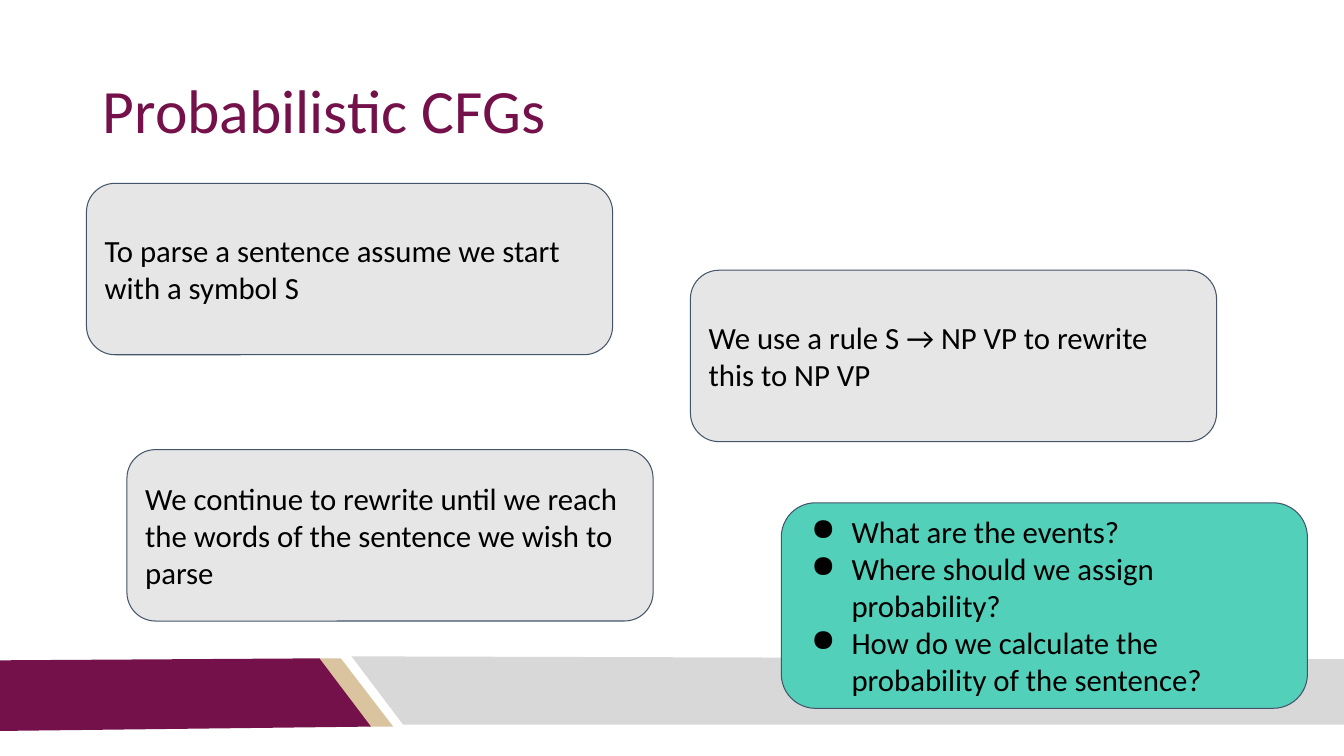
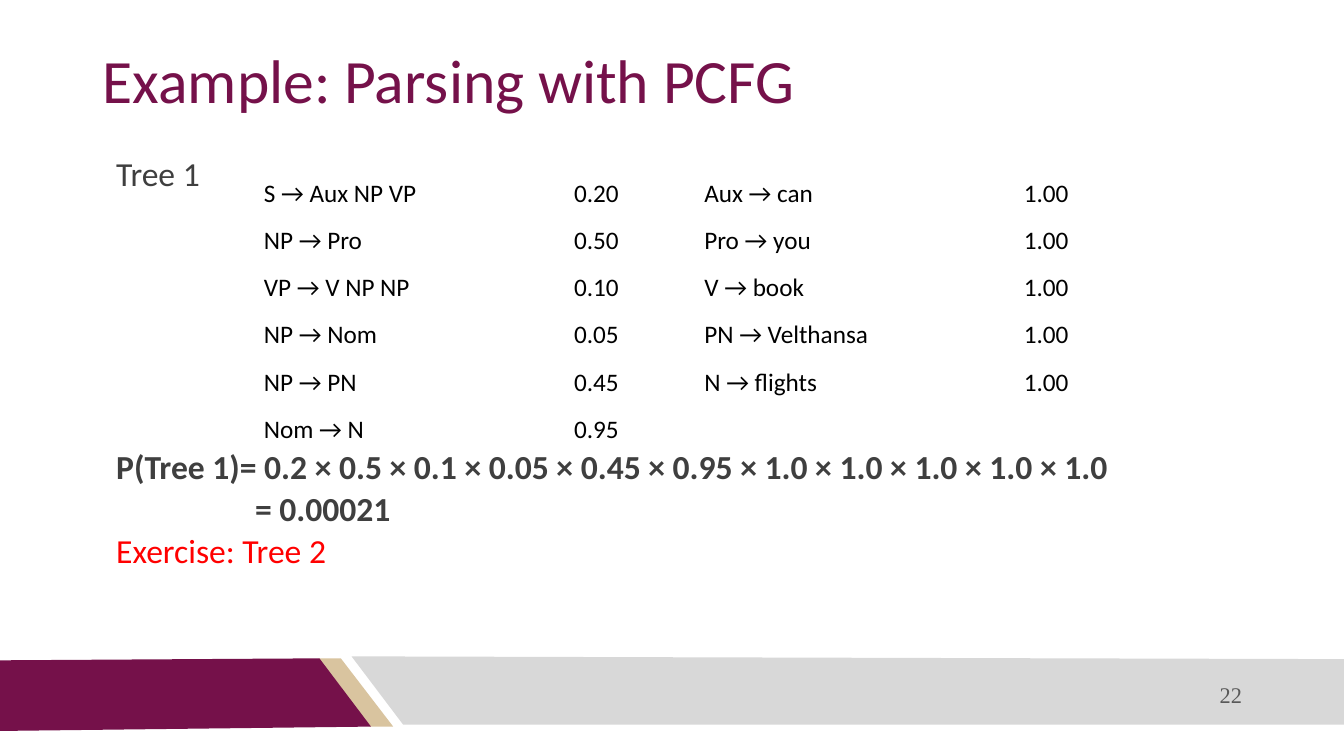
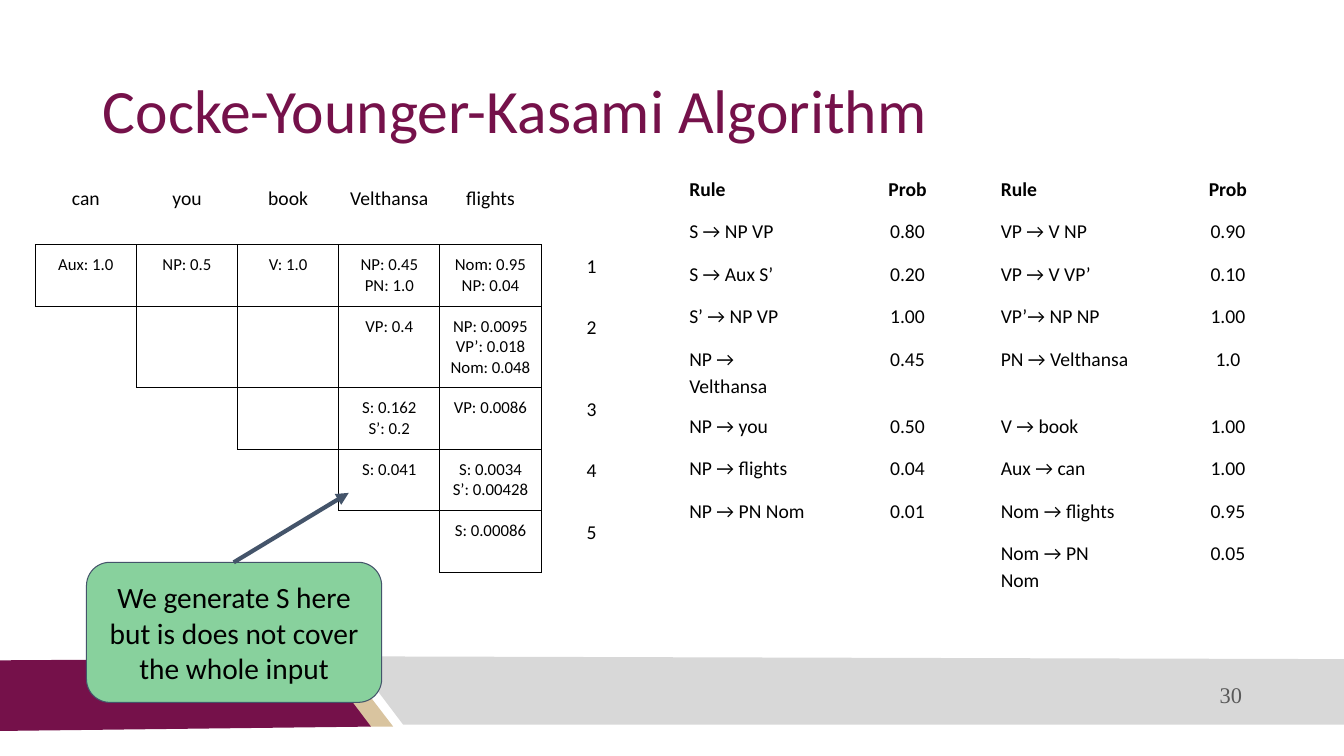
from lxml.etree import SubElement
from pptx import Presentation
from pptx.dml.color import RGBColor
from pptx.enum.shapes import MSO_CONNECTOR, MSO_SHAPE
from pptx.enum.text import MSO_ANCHOR as Anchor, MSO_AUTO_SIZE as AutoSize, PP_ALIGN as Align
from pptx.oxml.ns import qn
from pptx.util import Cm, Pt

MAROON = RGBColor(0x75, 0x11, 0x4A)
TAN = RGBColor(0xD9, 0xC4, 0x9F)
SILVER = RGBColor(0xD8, 0xD8, 0xD8)
PALE = RGBColor(0xE7, 0xE6, 0xE6)
TEAL = RGBColor(0x52, 0xD0, 0xB9)
GREEN = RGBColor(0x88, 0xD1, 0x9D)
SLATE = RGBColor(0x44, 0x54, 0x6A)
CHARCOAL = RGBColor(0x3F, 0x3F, 0x3F)
GREY = RGBColor(0x59, 0x59, 0x59)
RED = RGBColor(0xFF, 0, 0)
BLACK = RGBColor(0, 0, 0)

NO_STYLE = "{2D5ABB26-0587-4C30-8999-92F81FD0307C}"
INSET = Cm(0.25)

BANDS = [
    (TAN, [(8.03, 16.59), (8.59, 16.59), (9.91, 18.31), (9.32, 18.31)]),
    (MAROON, [(0, 16.64), (8.05, 16.59), (9.35, 18.31), (0, 18.42)]),
    (SILVER, [(33.87, 18.26), (10.16, 18.26), (8.86, 16.54), (33.87, 16.61)]),
]

STEPS = [
    (2.18, 4.62, "To parse a sentence assume we start with a symbol S"),
    (17.4, 6.81, "We use a rule S → NP VP to rewrite this to NP VP"),
    (3.2, 11.33, "We continue to rewrite until we reach the words of the sentence we wish to parse"),
]
QUESTIONS = [
    "What are the events?",
    "Where should we assign probability?",
    "How do we calculate the probability of the sentence?",
]

TREE_RULES = [
    ("S → Aux NP VP", "0.20", "Aux → can", "1.00"),
    ("NP → Pro", "0.50", "Pro → you", "1.00"),
    ("VP → V NP NP", "0.10", "V → book", "1.00"),
    ("NP → Nom", "0.05", "PN → Velthansa", "1.00"),
    ("NP → PN", "0.45", "N → flights", "1.00"),
    ("Nom → N", "0.95", "", ""),
]
PRODUCT = "P(Tree 1)= 0.2 × 0.5 × 0.1 × 0.05 × 0.45 × 0.95 × 1.0 × 1.0 × 1.0 × 1.0 × 1.0"

GRAMMAR = [
    ("Rule", "Prob", "Rule", "Prob"),
    ("S → NP VP", "0.80", "VP → V NP", "0.90"),
    ("S → Aux S’", "0.20", "VP → V VP’", "0.10"),
    ("S’ → NP VP", "1.00", "VP’→ NP NP", "1.00"),
    ("NP → Velthansa", "0.45", "PN → Velthansa", "1.0"),
    ("NP → you", "0.50", "V → book", "1.00"),
    ("NP → flights", "0.04", "Aux → can", "1.00"),
    ("NP → PN Nom", "0.01", "Nom → flights", "0.95"),
    ("", "", "Nom → PN Nom", "0.05"),
]
CHART = [
    ("can", "you", "book", "Velthansa", "flights", ""),
    ("Aux: 1.0", "NP: 0.5", "V: 1.0", "NP: 0.45\nPN: 1.0", "Nom: 0.95\nNP: 0.04", "1"),
    ("", "", "", "VP: 0.4", "NP: 0.0095\nVP’: 0.018\nNom: 0.048", "2"),
    ("", "", "", "S: 0.162\nS’: 0.2", "VP: 0.0086", "3"),
    ("", "", "", "S: 0.041", "S: 0.0034\nS’: 0.00428", "4"),
    ("", "", "", "", "S: 0.00086", "5"),
]


def write(frame, lines, size, color=BLACK, align=Align.LEFT, font="Calibri",
          bold=False, spacing=None, bullet=None):
    frame.text = "\n".join(lines)
    for para in frame.paragraphs:
        para.alignment = align
        if spacing:
            para.line_spacing = spacing
        if bullet:
            props = para._p.get_or_add_pPr()
            props.set("marL", str(Cm(1.27)))
            props.set("indent", str(-Cm(1.02)))
            SubElement(props, qn("a:buChar")).set("char", bullet)
        para.font.name = font
        para.font.size = Pt(size)
        para.font.bold = bold
        para.font.color.rgb = color


def set_frame(frame, anchor):
    frame.word_wrap = True
    frame.auto_size = AutoSize.NONE
    frame.vertical_anchor = anchor
    frame.margin_left = frame.margin_right = INSET
    frame.margin_top = frame.margin_bottom = INSET


def add_text(page, left, top, width, height, lines, size, anchor=Anchor.TOP, **style):
    box = page.shapes.add_textbox(Cm(left), Cm(top), Cm(width), Cm(height))
    set_frame(box.text_frame, anchor)
    write(box.text_frame, lines, size, **style)
    return box


def add_card(page, left, top, width, height, fill, lines, size, **style):
    card = page.shapes.add_shape(MSO_SHAPE.ROUNDED_RECTANGLE,
                                 Cm(left), Cm(top), Cm(width), Cm(height))
    card.shadow.inherit = False
    card.fill.solid()
    card.fill.fore_color.rgb = fill
    card.line.color.rgb = SLATE
    card.line.width = Pt(0.75)
    set_frame(card.text_frame, Anchor.MIDDLE)
    write(card.text_frame, lines, size, **style)
    return card


def add_table(page, left, top, widths, heights, rows):
    frame = page.shapes.add_table(len(rows), len(widths), Cm(left), Cm(top),
                                  Cm(sum(widths)), Cm(sum(heights)))
    next(frame.element.iter(qn("a:tableStyleId"))).text = NO_STYLE
    table = frame.table
    table.first_row = table.horz_banding = False
    for column, width in zip(table.columns, widths):
        column.width = Cm(width)
    for row, height in zip(table.rows, heights):
        row.height = Cm(height)
    for cell in table.iter_cells():
        cell.fill.background()
    return table


def add_rules(page, left, top, widths, rows, size, header=False):
    table = add_table(page, left, top, widths, [1.07] * len(rows), rows)
    for r, row in enumerate(rows):
        for c, text in enumerate(row):
            if not text:
                continue
            cell = table.cell(r, c)
            cell.margin_left, cell.margin_right = Cm(0.53), Cm(1.07)
            cell.margin_top = cell.margin_bottom = Cm(0.15)
            write(cell.text_frame, [text], size, bold=header and r == 0, spacing=1.15,
                  align=Align.CENTER if c % 2 else Align.LEFT)


def add_borders(cell):
    props = cell._tc.get_or_add_tcPr()
    for place, side in enumerate(("a:lnL", "a:lnR", "a:lnT", "a:lnB")):
        line = SubElement(props, qn(side), w=str(Pt(0.75)))
        fill = SubElement(line, qn("a:solidFill"))
        SubElement(fill, qn("a:srgbClr"), val=str(BLACK))
        props.insert(place, line)


def add_parse_chart(page, left, top):
    table = add_table(page, left, top, [2.55] * 6, [1.7] + [1.55] * 5, CHART)
    for r, row in enumerate(CHART):
        for c, text in enumerate(row):
            cell = table.cell(r, c)
            inside = r > 0 and r - 1 <= c < 5
            cell.margin_left = cell.margin_right = INSET
            cell.margin_top = cell.margin_bottom = INSET
            if text:
                write(cell.text_frame, text.split("\n"), 12 if inside else 14,
                      align=Align.CENTER)
            if inside:
                add_borders(cell)


def add_arrow(page, start, end):
    arrow = page.shapes.add_connector(MSO_CONNECTOR.STRAIGHT, *map(Cm, start + end))
    arrow.line.color.rgb = SLATE
    arrow.line.width = Pt(3)
    SubElement(arrow.line._get_or_add_ln(), qn("a:tailEnd"), type="triangle")
    SubElement(arrow.element.spPr, qn("a:effectLst"))


def move_bands_to_layout(page, layout):
    tree = layout.element.cSld.spTree
    for place, (color, points) in enumerate(BANDS):
        corners = [(Cm(x), Cm(y)) for x, y in points]
        builder = page.shapes.build_freeform(*corners[0])
        builder.add_line_segments(corners[1:], close=True)
        band = builder.convert_to_shape()
        band.shadow.inherit = False
        band.fill.solid()
        band.fill.fore_color.rgb = color
        band.line.fill.background()
        tree.insert(2 + place, band.element)


def add_page(deck, title, number=None, anchor=Anchor.MIDDLE):
    page = deck.slides.add_slide(deck.slide_layouts[5])
    heading = page.shapes.title
    heading.left, heading.top = Cm(2.34), Cm(1.02)
    heading.width, heading.height = Cm(29.21), Cm(3.68)
    set_frame(heading.text_frame, anchor)
    write(heading.text_frame, [title], 44, color=MAROON, spacing=0.9)
    if number:
        add_text(page, 20.12, 16.99, 11.43, 1.02, [number], 16, anchor=Anchor.MIDDLE,
                 color=GREY, align=Align.RIGHT, font="Times New Roman")
    return page


def build_intro(deck):
    page = add_page(deck, "Probabilistic CFGs")
    move_bands_to_layout(page, deck.slide_layouts[5])
    for left, top, text in STEPS:
        add_card(page, left, top, 13.26, 4.32, PALE, [text], 22)
    add_card(page, 19.69, 12.67, 13.26, 5.18, TEAL, QUESTIONS, 22, bullet="●")


def build_example(deck):
    page = add_page(deck, "Example: Parsing with PCFG", "22", Anchor.TOP)
    add_text(page, 2.68, 3.73, 3.3, 1.4, ["Tree 1"], 24, color=CHARCOAL, spacing=0.9)
    box = add_text(page, 2.68, 11.1, 28.8, 3.8, [PRODUCT, "= 0.00021", "Exercise: Tree 2"],
                   24, color=CHARCOAL, bold=True, spacing=0.9)
    product, result, exercise = box.text_frame.paragraphs
    result.space_before = exercise.space_before = Pt(4)
    result._p.get_or_add_pPr().set("marL", str(Cm(3.5)))
    exercise.font.bold = False
    exercise.font.color.rgb = RED
    add_rules(page, 6.12, 4.22, [7.26, 3.84, 7.42, 3.99], TREE_RULES, 18)


def build_algorithm(deck):
    page = add_page(deck, "Cocke-Younger-Kasami Algorithm", "30")
    add_rules(page, 16.84, 4.24, [4.75, 3.1, 4.9, 3.25], GRAMMAR, 14, header=True)
    add_parse_chart(page, 0.89, 4.47)
    add_card(page, 2.18, 14.17, 7.44, 3.53, GREEN,
             ["We generate S here but is does not cover the whole input"], 21,
             align=Align.CENTER)
    add_arrow(page, (5.89, 14.17), (8.79, 12.42))


def main():
    deck = Presentation()
    deck.slide_width, deck.slide_height = Cm(33.87), Cm(19.05)
    build_intro(deck)
    build_example(deck)
    build_algorithm(deck)
    deck.save("out.pptx")


if __name__ == "__main__":
    main()
